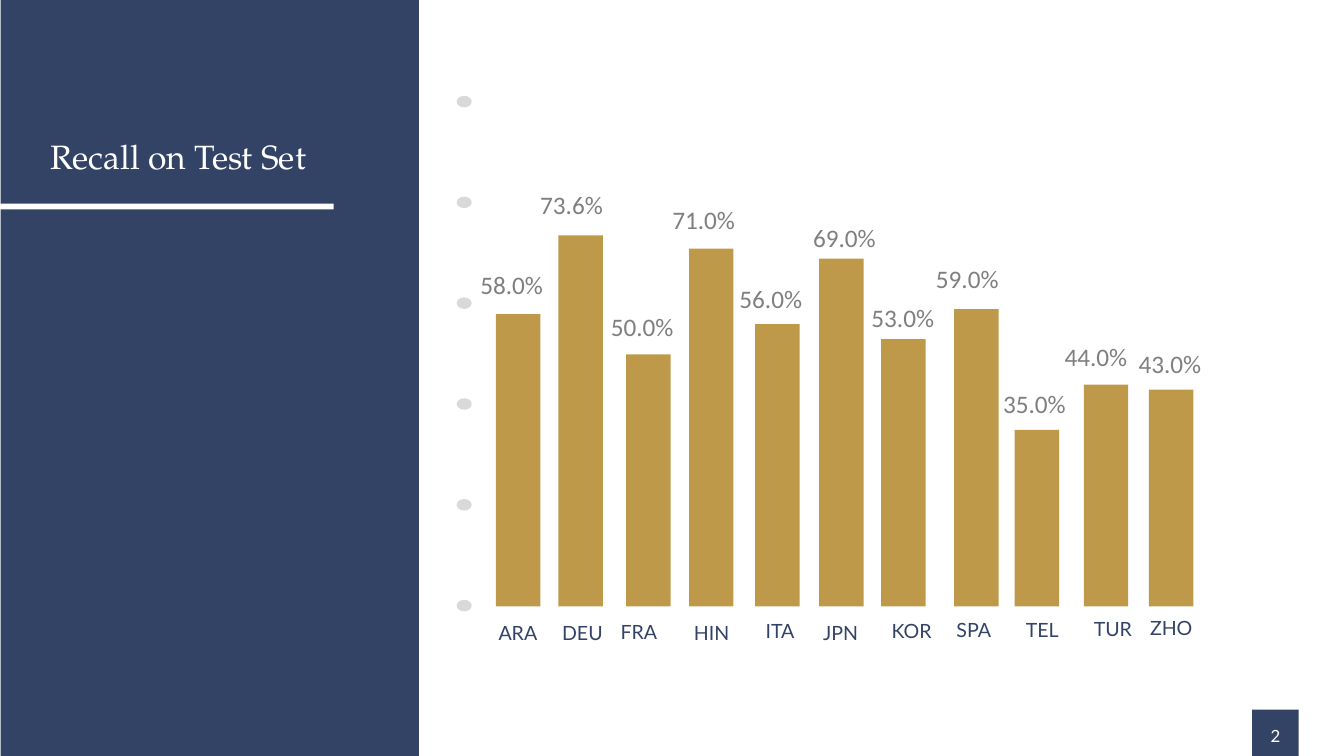
from pptx import Presentation
from pptx import util as u
from pptx.dml.color import RGBColor
from pptx.enum import shapes, text

COLORS = {
    "navy": "334366",
    "gold": "BF994A",
    "dot": "D9D9D9",
    "value": "7F7F7F",
    "white": "FFFFFF",
}

# Chart geometry in cm
BASELINE = 30.56
BAR_WIDTH = 2.24
CM_PER_PERCENT = 0.254
DOT_TOP, DOT_STEP, DOT_COUNT = 4.83, 5.08, 6

# Language, recall in %, bar left, name (left, top), value (left, top)
RECALLS = [
    ("ARA", 58.0, 24.99, (23.39, 31.17), (23.95, 13.46)),
    ("DEU", 73.6, 28.14, (26.64, 31.17), (26.97, 9.42)),
    ("FRA", 50.0, 31.55, (29.49, 31.14), (30.53, 15.54)),
    ("HIN", 71.0, 34.72, (33.15, 31.17), (33.63, 10.16)),
    ("ITA", 56.0, 38.05, (36.60, 31.09), (37.01, 14.15)),
    ("JPN", 69.0, 41.28, (39.65, 31.17), (40.72, 11.10)),
    ("KOR", 53.0, 44.40, (43.23, 31.06), (43.66, 15.11)),
    ("SPA", 59.0, 48.08, (46.36, 31.04), (46.91, 13.16)),
    ("TEL", 35.0, 51.13, (49.81, 31.04), (50.29, 19.43)),
    ("TUR", 44.0, 54.61, (53.37, 30.99), (53.39, 17.09)),
    ("ZHO", 43.0, 57.89, (56.31, 30.94), (57.12, 17.45)),
]


class Deck:
    """Holds the style and the current slide; lengths are in cm."""

    heading_font = "TeX Gyre Pagella"
    label_font = "Lato"
    value_font = "Calibri"

    def __init__(self, width, height):
        self.prs = Presentation()
        self.prs.slide_width = u.Cm(width)
        self.prs.slide_height = u.Cm(height)
        self.slide = None

    def add_slide(self):
        self.slide = self.prs.slides.add_slide(self.prs.slide_layouts[5])

    def run(self, p, words, font, size, color):
        r = p.add_run()
        r.text = words
        r.font.name = font
        r.font.size = u.Pt(size)
        r.font.color.rgb = RGBColor.from_string(COLORS[color])

    def title(self, words, left, top, width, height):
        sp = self.slide.shapes.title
        sp.left, sp.top = u.Cm(left), u.Cm(top)
        sp.width, sp.height = u.Cm(width), u.Cm(height)
        tf = sp.text_frame
        tf.word_wrap = True
        tf.vertical_anchor = text.MSO_ANCHOR.BOTTOM
        p = tf.paragraphs[0]
        p.alignment = text.PP_ALIGN.LEFT
        self.run(p, words, self.heading_font, 48, "white")

    def shape(self, kind, left, top, width, height, color):
        sp = self.slide.shapes.add_shape(
            kind, u.Cm(left), u.Cm(top), u.Cm(width), u.Cm(height))
        sp.shadow.inherit = False
        sp.fill.solid()
        sp.fill.fore_color.rgb = RGBColor.from_string(COLORS[color])
        sp.line.fill.background()
        return sp

    def rect(self, left, top, width, height, color):
        return self.shape(shapes.MSO_SHAPE.RECTANGLE,
                          left, top, width, height, color)

    def dot(self, left, top):
        return self.shape(shapes.MSO_SHAPE.OVAL, left, top, 0.76, 0.58, "dot")

    def label(self, words, left, top, width, height, font, size, color,
              align=text.PP_ALIGN.CENTER, wrap=True):
        sp = self.slide.shapes.add_textbox(
            u.Cm(left), u.Cm(top), u.Cm(width), u.Cm(height))
        tf = sp.text_frame
        tf.word_wrap = wrap
        p = tf.paragraphs[0]
        p.alignment = align
        self.run(p, words, font, size, color)
        return tf

    def page_number(self, number):
        self.rect(63.09, 35.76, 2.34, 2.34, "navy")
        tf = self.label(number, 63.3, 35.76, 1.93, 1.93,
                        self.label_font, 24, "white")
        tf.margin_left = tf.margin_right = u.Cm(0.61)
        tf.margin_top = tf.margin_bottom = u.Cm(0.3)
        tf.paragraphs[0].line_spacing = u.Pt(43)


def main():
    deck = Deck(67.72, 38.1)
    deck.add_slide()

    # Sidebar behind the title, with a rule below it
    sidebar = deck.rect(0.03, 0, 21.08, 38.1, "navy")
    deck.title("Recall on Test Set", 2.31, 4.62, 15.29, 4.37)
    deck.slide.shapes.title.element.addprevious(sidebar.element)
    deck.rect(0, 10.26, 16.81, 0.3, "white")

    deck.page_number("2")

    # Scale dots
    for i in range(DOT_COUNT):
        deck.dot(23.01, DOT_TOP + i * DOT_STEP)

    # Bars with language names and values
    for language, recall, left, name_at, value_at in RECALLS:
        height = recall * CM_PER_PERCENT
        deck.rect(left, BASELINE - height, BAR_WIDTH, height, "gold")
        deck.label(language, *name_at, 5.41, 1.45, deck.label_font, 28, "navy")
        deck.label(f"{recall:.1f}%", *value_at, 3.71, 1.8, deck.value_font,
                   36, "value", text.PP_ALIGN.LEFT, wrap=False)

    deck.prs.save("out.pptx")


if __name__ == "__main__":
    main()
